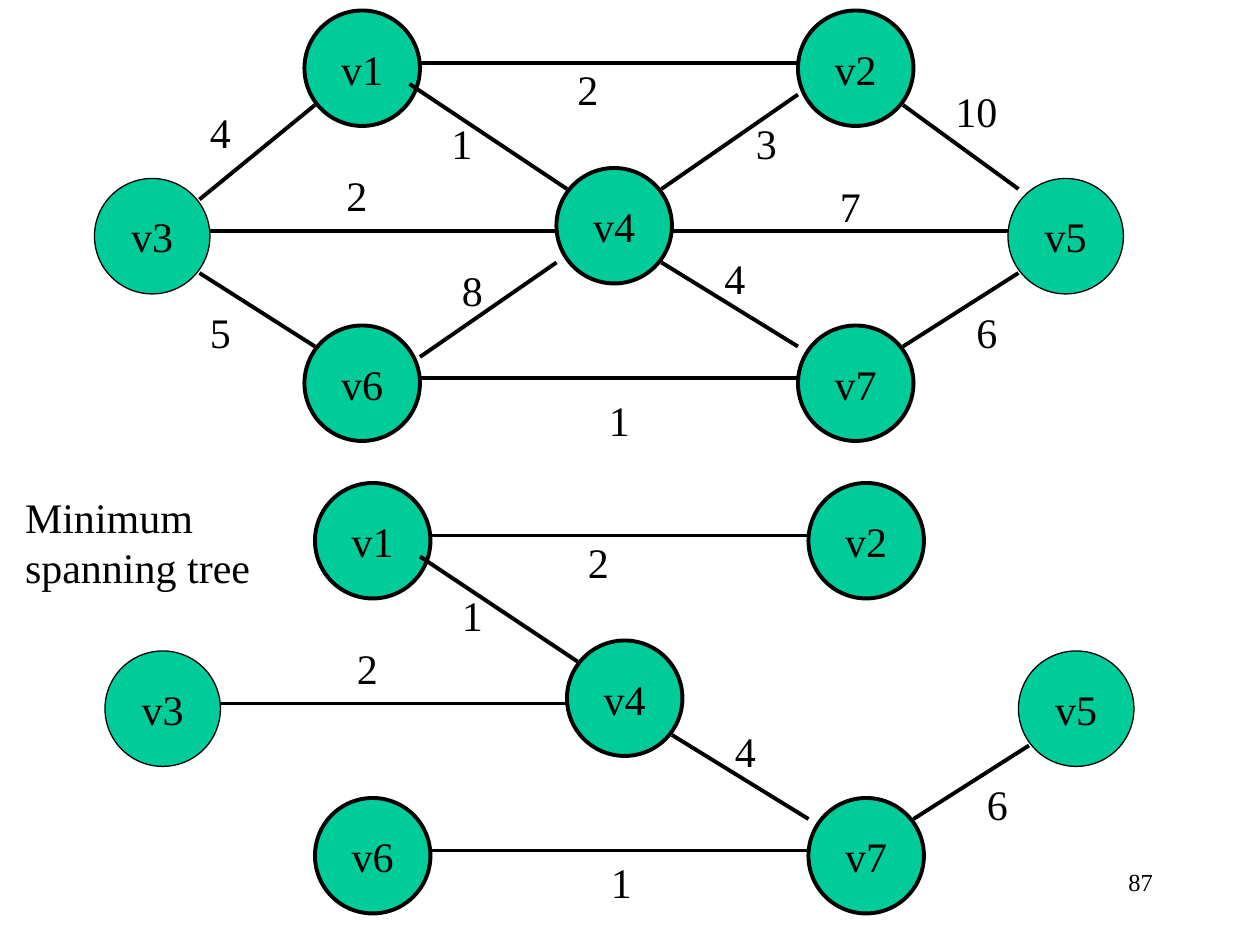
from pptx import Presentation
from pptx.dml.color import RGBColor
from pptx.enum.shapes import MSO_CONNECTOR, MSO_SHAPE
from pptx.enum.text import MSO_ANCHOR, MSO_AUTO_SIZE, PP_ALIGN
from pptx.oxml.ns import qn
from pptx.util import Inches, Pt

OVAL, LINE = MSO_SHAPE.OVAL, MSO_CONNECTOR.STRAIGHT
LEFT, MID, RIGHT = PP_ALIGN.LEFT, PP_ALIGN.CENTER, PP_ALIGN.RIGHT
FIT, FIXED = MSO_AUTO_SIZE.SHAPE_TO_FIT_TEXT, MSO_AUTO_SIZE.NONE
COLORS = {name: RGBColor.from_string(code) for name, code in
          {"node": "00CC99", "ink": "000000"}.items()}
FONT = "Times New Roman"

deck = Presentation()
deck.slide_width, deck.slide_height = Inches(10), Inches(7.5)
slide = deck.slides.add_slide(deck.slide_layouts[6])
shapes = slide.shapes
UNIT = deck.slide_width / 120  # grid of 120 columns by 90 rows


def grid(*cells):
    """Turn grid counts into lengths."""
    return [round(cell * UNIT) for cell in cells]


def write(shape, text, size=24, align=LEFT, **frame):
    """Put text in a shape and format it."""
    body = shape.text_frame
    body.text = text
    for key, value in frame.items():
        setattr(body, key, value)
    for para in body.paragraphs:
        para.alignment = align
        for key, value in {"name": FONT, "size": Pt(size)}.items():
            setattr(para.font, key, value)
        para.font.color.rgb = COLORS["ink"]


# name: column, row, outline width
NODES = {
    "v3": (9, 17, 0.75), "v1": (29, 1, 2.25), "v6": (29, 31, 2.25),
    "v5": (96, 17, 0.75), "v2": (76, 1, 2.25), "v7": (76, 31, 2.25),
    "v4": (53, 16, 2.25),
}
# start, end, weight, centre of weight, part of the tree
EDGES = [
    ((19, 19), (30, 10), "4", (21, 12.6), False),
    ((19, 26), (30, 33), "5", (21, 31.6), False),
    ((20, 22), (53, 22), "2", (34, 18.6), True),
    ((40, 6), (76, 6), "2", (56, 8.5), True),
    ((86, 33), (97, 26), "6", (94, 31.6), True),
    ((86, 10), (97, 18), "10", (93, 10.6), False),
    ((39, 8), (54, 18), "1", (44, 13.6), True),
    ((63, 18), (76, 9), "3", (73, 13.6), False),
    ((64, 22), (96, 22), "7", (81, 19.6), False),
    ((63, 25), (76, 33), "4", (70, 26.5), True),
    ((40, 36), (76, 36), "1", (59, 40), True),
    ((40, 34), (53, 25), "8", (45, 27.6), False),
]

# the full graph, then its tree one column right and 45 rows down
for dx, dy, tree in ((0, 0, False), (1, 45, True)):
    for name, (col, row, width) in NODES.items():
        node = shapes.add_shape(OVAL, *grid(col + dx, row + dy, 11, 11))
        node.shadow.inherit = False
        node.fill.solid()
        node.fill.fore_color.rgb = COLORS["node"]
        node.line.color.rgb = COLORS["ink"]
        node.line.width = Pt(width)
        write(node, name, align=MID, word_wrap=False,
              vertical_anchor=MSO_ANCHOR.MIDDLE)

    for start, end, weight, (col, row), kept in EDGES:
        if tree and not kept:
            continue
        ends = [start[0] + dx, start[1] + dy, end[0] + dx, end[1] + dy]
        edge = shapes.add_connector(LINE, *grid(*ends))
        edge.line.color.rgb = COLORS["ink"]
        edge.line.width = Pt(2.25)
        props = edge.element.spPr
        props.append(props.makeelement(qn("a:effectLst"), {}))

        if tree and row == 40:  # lowest weight sits closer to its edge
            col, row = col - 0.8, row - 1
        wide = 2.4 + 2 * len(weight)
        label = shapes.add_textbox(
            *grid(col + dx - wide / 2, row + dy - 3, wide, 6))
        write(label, weight, word_wrap=False, auto_size=FIT)

# text, place on the grid, format
NOTES = [
    ("Minimum\nspanning tree", (1.2, 46.2, 23.9, 10.8),
     {"word_wrap": False, "auto_size": FIT}),
    ("87", (86, 82, 25, 6),
     {"size": 14, "align": RIGHT, "word_wrap": True, "auto_size": FIXED}),
]
for text, place, form in NOTES:
    write(shapes.add_textbox(*grid(*place)), text, **form)

deck.save("out.pptx")
